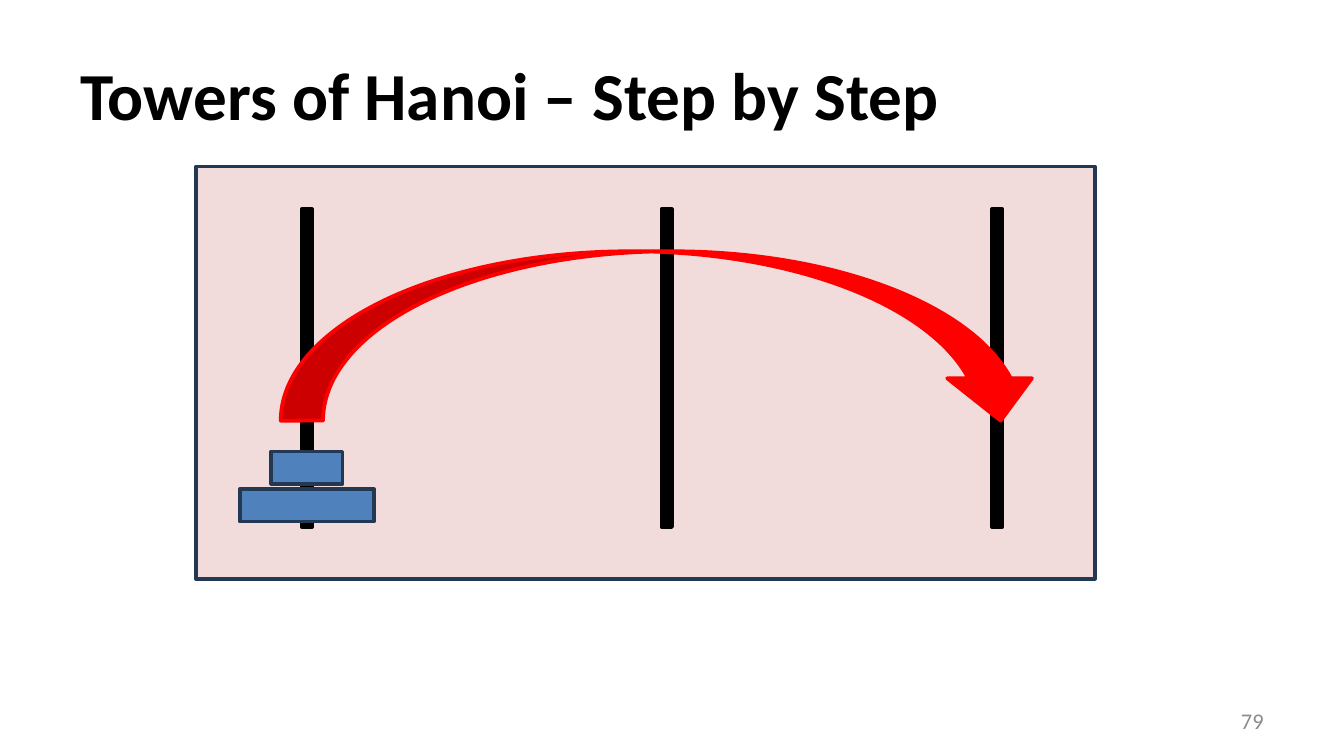
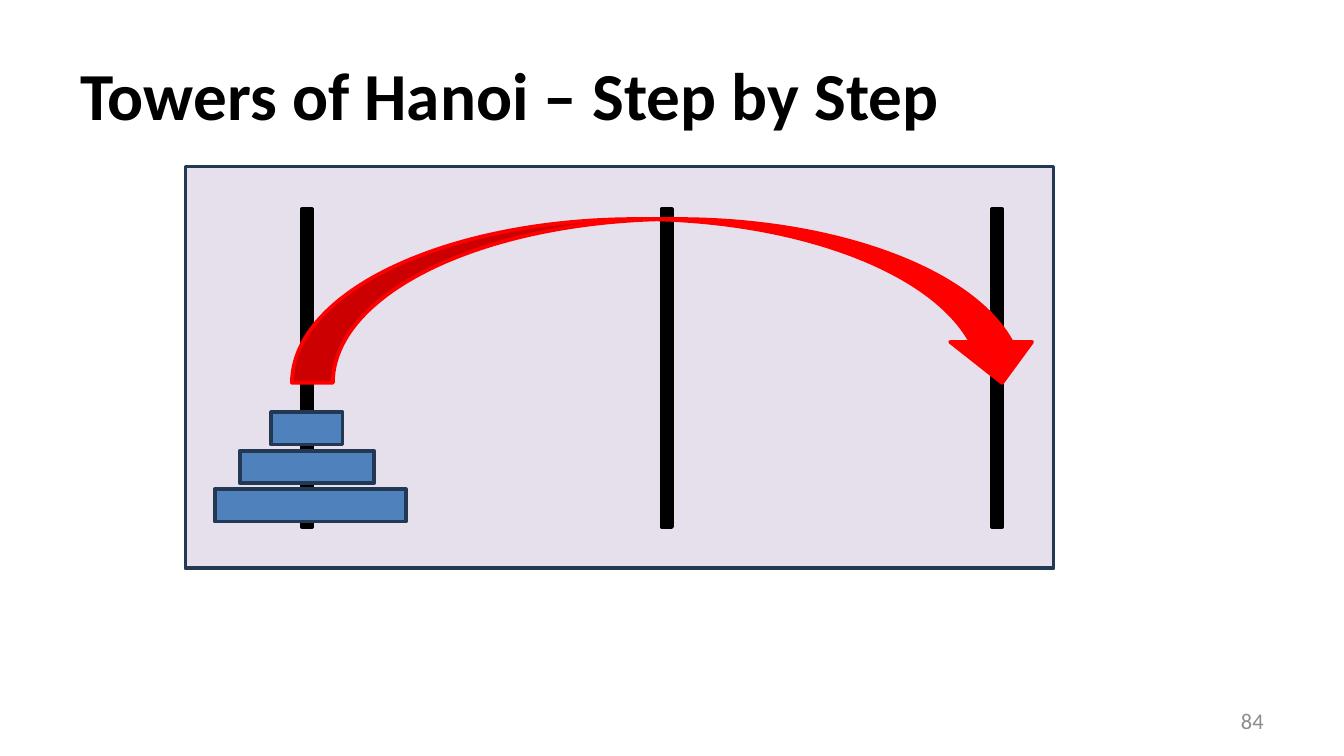
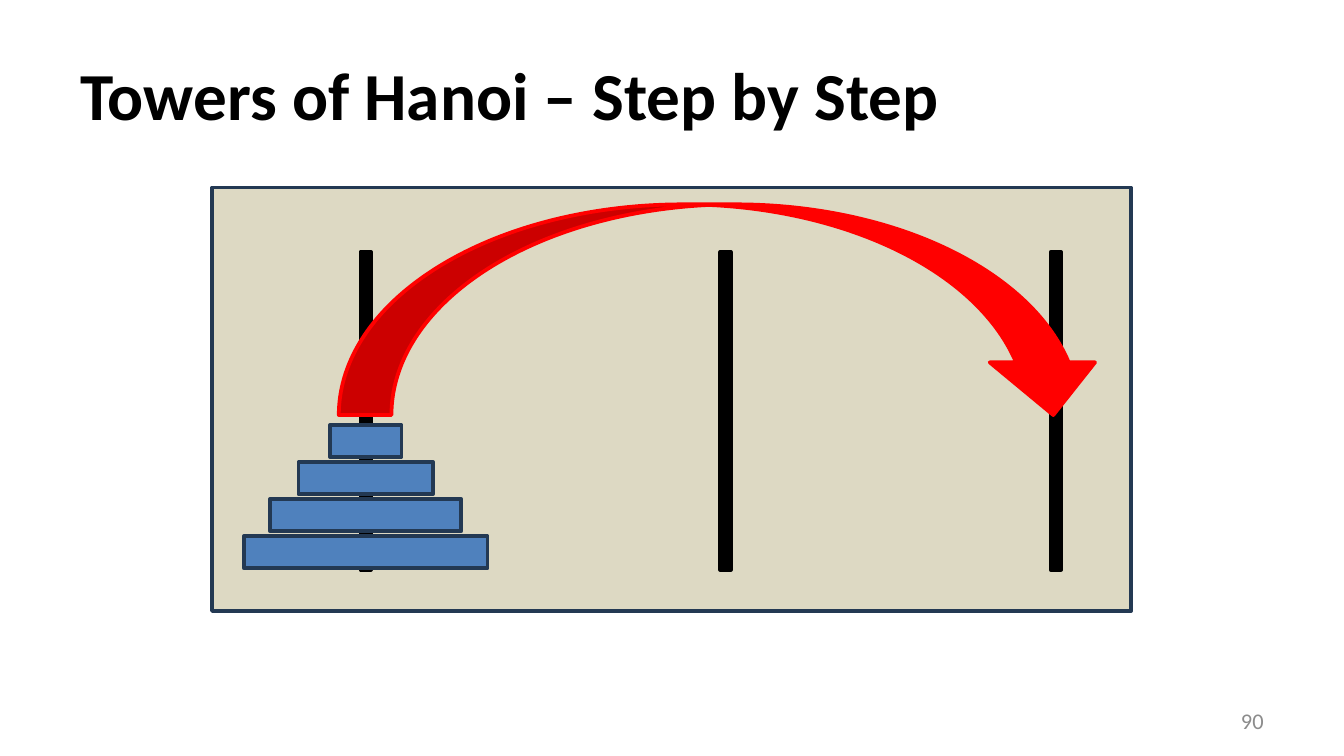
from dataclasses import dataclass

from pptx import Presentation
from pptx.dml.color import RGBColor
from pptx.enum.shapes import MSO_SHAPE
from pptx.enum.text import MSO_ANCHOR, PP_ALIGN
from pptx.util import Emu, Pt

RECTANGLE = MSO_SHAPE.RECTANGLE
CURVED_ARROW = MSO_SHAPE.CURVED_DOWN_ARROW
MIDDLE = MSO_ANCHOR.MIDDLE
LEFT, RIGHT = PP_ALIGN.LEFT, PP_ALIGN.RIGHT
BLANK_LAYOUT = 6
EMU_PER_PX = 4762.5
SLIDE_SIZE = (1920, 1080)

TITLE = "Towers of Hanoi – Step by Step"
TITLE_BOX = (96, 44, 1728, 180)
NUMBER_BOX = (1377, 1001, 447, 58)

PEG_WIDTH, PEG_HEIGHT = 15, 454
PEG_OFFSETS = (0, 514, 986)
DISK_HEIGHT = 46
DISK_WIDTHS = (102, 192, 273, 348)


@dataclass(frozen=True)
class Theme:
    """Hold the colours and type sizes of the deck."""
    font: str = "Calibri"
    title_size: int = 36
    number_size: int = 12
    line_width: int = 2
    title: str = "000000"
    number: str = "8C8C8C"
    outline: str = "233953"
    peg: str = "000000"
    disk: str = "4F81BD"
    arrow: str = "FF0000"
    rose: str = "F2DCDB"
    lilac: str = "E6E0EC"
    sand: str = "DDD9C3"


THEME = Theme()


@dataclass(frozen=True)
class Scene:
    """Describe one move of a whole tower."""
    number: int
    color: str
    board: tuple
    first_peg: tuple
    disk_count: int
    base_top: int
    disk_step: int
    arrow: tuple
    base_shift: int = 0


SCENES = (
    Scene(79, THEME.rose, (280, 238, 1284, 589), (431, 299), 2, 699, 54,
          (401, 359, 1089, 242)),
    Scene(84, THEME.lilac, (265, 238, 1240, 574), (431, 299), 3, 699, 55,
          (417, 313, 1073, 234), base_shift=5),
    Scene(90, THEME.sand, (303, 268, 1313, 605), (515, 360), 4, 766, 53,
          (484, 292, 1096, 301)),
)


def px(length):
    """Turn px into EMU."""
    return Emu(round(length * EMU_PER_PX))


def add_text(slide, box, text, size, color, bold=False, alignment=LEFT):
    """Add a vertically centred line of text."""
    text_frame = slide.shapes.add_textbox(*map(px, box)).text_frame
    text_frame.word_wrap = True
    text_frame.vertical_anchor = MIDDLE
    text_frame.text = text
    paragraph = text_frame.paragraphs[0]
    paragraph.alignment = alignment
    font = paragraph.runs[0].font
    font.name = THEME.font
    font.size = Pt(size)
    font.bold = bold
    font.color.rgb = RGBColor.from_string(color)


def add_figure(group, kind, box, fill, line):
    """Add a filled and outlined preset shape to the group."""
    shape = group.shapes.add_shape(kind, *map(px, box))
    shape.shadow.inherit = False
    shape.fill.solid()
    shape.fill.fore_color.rgb = RGBColor.from_string(fill)
    shape.line.color.rgb = RGBColor.from_string(line)
    shape.line.width = Pt(THEME.line_width)


def add_peg(group, left, top):
    """Add one upright peg."""
    box = (left, top, PEG_WIDTH, PEG_HEIGHT)
    add_figure(group, RECTANGLE, box, THEME.peg, THEME.peg)


def add_disks(group, scene):
    """Stack the disks on the first peg, the widest at the base."""
    center = scene.first_peg[0] + PEG_WIDTH / 2
    widths = reversed(DISK_WIDTHS[:scene.disk_count])
    for level, width in enumerate(widths):
        shift = scene.base_shift if level == 0 else 0
        top = scene.base_top - level * scene.disk_step
        box = (center - width / 2 + shift, top, width, DISK_HEIGHT)
        add_figure(group, RECTANGLE, box, THEME.disk, THEME.outline)


def add_towers(slide, scene):
    """Draw the board, pegs, disks and the move arrow as one group."""
    group = slide.shapes.add_group_shape()
    add_figure(group, RECTANGLE, scene.board, scene.color, THEME.outline)
    left, top = scene.first_peg
    first, *others = [left + offset for offset in PEG_OFFSETS]
    add_peg(group, first, top)
    add_disks(group, scene)
    for peg_left in others:
        add_peg(group, peg_left, top)
    add_figure(group, CURVED_ARROW, scene.arrow, THEME.arrow, THEME.arrow)


def add_scene(presentation, scene):
    """Add the slide of one scene."""
    layout = presentation.slide_layouts[BLANK_LAYOUT]
    slide = presentation.slides.add_slide(layout)
    add_text(slide, TITLE_BOX, TITLE, THEME.title_size, THEME.title, bold=True)
    add_text(slide, NUMBER_BOX, str(scene.number), THEME.number_size,
             THEME.number, alignment=RIGHT)
    add_towers(slide, scene)


def main():
    """Build and save the deck."""
    presentation = Presentation()
    presentation.slide_width, presentation.slide_height = map(px, SLIDE_SIZE)
    for scene in SCENES:
        add_scene(presentation, scene)
    presentation.save("out.pptx")


if __name__ == "__main__":
    main()
